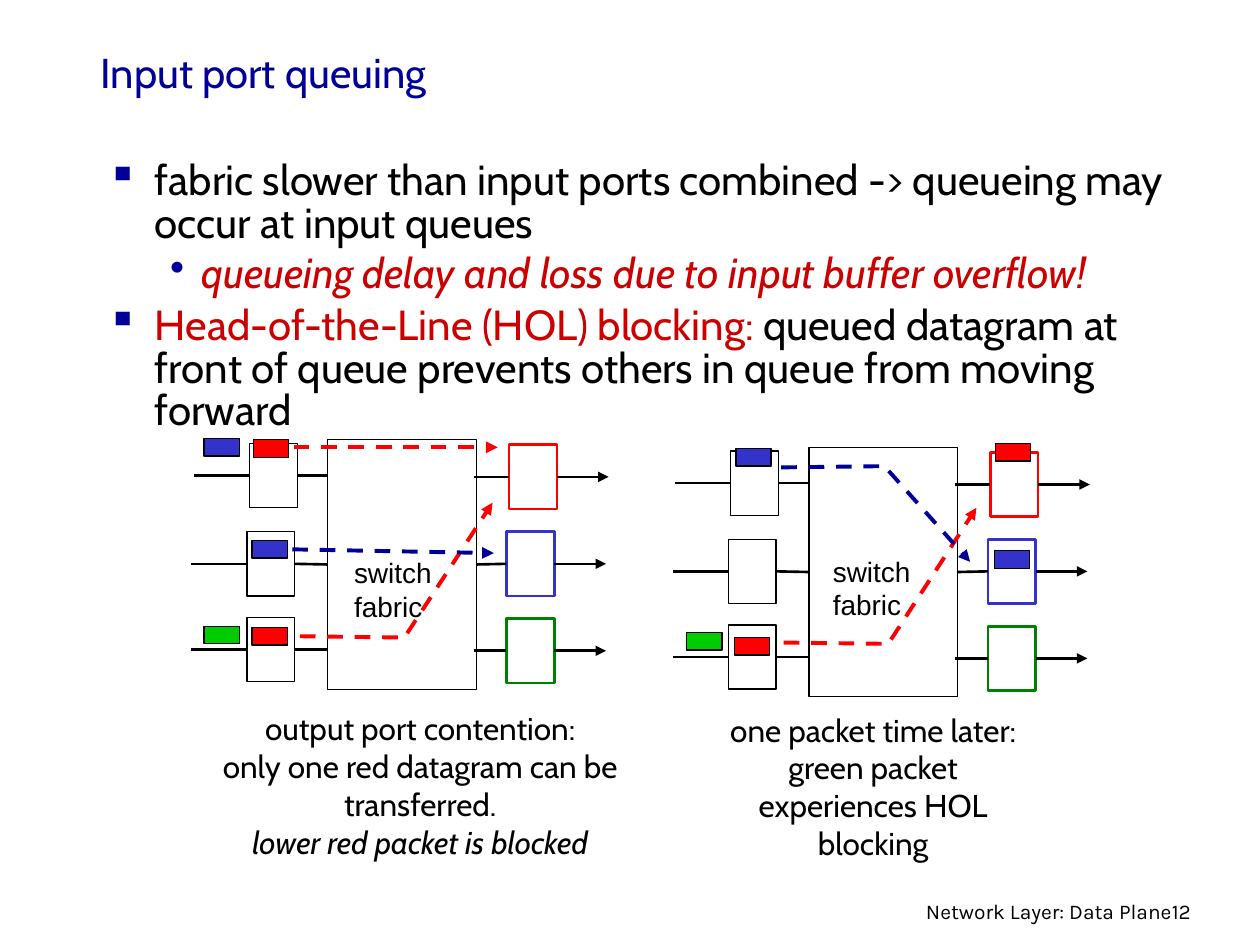
"""Build the slide on input port queuing and head-of-line blocking."""
from lxml.etree import SubElement
from pptx import Presentation
from pptx.dml.color import RGBColor
from pptx.enum.dml import MSO_LINE
from pptx.enum.shapes import MSO_CONNECTOR, MSO_SHAPE
from pptx.enum.text import MSO_ANCHOR, PP_ALIGN
from pptx.oxml.ns import qn
from pptx.util import Pt

PX = 9144
BLACK, WHITE, NAVY, CRIMSON = "000000", "FFFFFF", "000099", "CC0000"
RED, BLUE, GREEN, LIME = "FF0000", "3333CC", "008000", "00CC00"
color = RGBColor.from_string


def write(shapes, spot, paras, size, face="Cabin", align=PP_ALIGN.LEFT):
    box = shapes.add_textbox(*[n * PX for n in spot])
    frame = box.text_frame
    frame.word_wrap = True
    frame.margin_left = frame.margin_right = 5 * PX
    frame.margin_top = frame.margin_bottom = 5 * PX
    for num, runs in enumerate(paras):
        para = frame.add_paragraph() if num else frame.paragraphs[0]
        para.alignment = align
        for words, tint, slant in runs:
            if words == "\n":
                para.add_line_break()
                continue
            run = para.add_run()
            run.text = words
            run.font.name, run.font.size = face, Pt(size)
            run.font.italic = slant
            run.font.color.rgb = color(tint)
    return frame


def draw(shapes, points, tint=BLACK, width=1.5, dash=False, arrow=False):
    spots = [(round(x * PX), round(y * PX)) for x, y in points]
    if len(spots) == 2:
        item = shapes.add_connector(MSO_CONNECTOR.STRAIGHT, *spots[0], *spots[1])
        SubElement(item._element.spPr, qn("a:effectLst"))
    else:
        pen = shapes.build_freeform(*spots[0])
        pen.add_line_segments(spots[1:], close=False)
        item = pen.convert_to_shape()
        item.fill.background()
        item.shadow.inherit = False
    item.line.color.rgb = color(tint)
    item.line.width = Pt(width)
    if dash:
        item.line.dash_style = MSO_LINE.DASH
    if arrow:
        SubElement(item.get_or_add_ln(), qn("a:tailEnd"), type="triangle")
    return item


deck = Presentation()
deck.slide_width, deck.slide_height = 1000 * PX, 750 * PX
slide = deck.slides.add_slide(deck.slide_layouts[6])

title = write(slide.shapes, (75, 32, 850, 50), [[("Input port queuing", NAVY, False)]], 23.8)
title.vertical_anchor = MSO_ANCHOR.MIDDLE

body = write(slide.shapes, (80, 123, 886, 290), [
    [("fabric slower than input ports combined -> queueing may occur at input queues", BLACK, False)],
    [("queueing delay and loss due to input buffer overflow!", CRIMSON, True)],
    [("Head-of-the-Line (HOL) blocking:", CRIMSON, False),
     (" queued datagram at front of queue prevents others in queue from moving forward", BLACK, False)],
], 24)
for num, para in enumerate(body.paragraphs):
    sub = num == 1
    para.level = int(sub)
    props = para._p.get_or_add_pPr()
    props.set("marL", str((75 if sub else 38) * PX))
    props.set("indent", str((-25 if sub else -38) * PX))
    tone = SubElement(props, qn("a:buClr"))
    SubElement(tone, qn("a:srgbClr"), val=NAVY)
    SubElement(props, qn("a:buChar"), char="•" if sub else "▪")
    if not sub:
        para.line_spacing = 0.85
        para.space_before = Pt(5 if num else 0)

rows = [(352, 353, 0, RED), (422, 422, 2, BLUE), (490, 491, 2, GREEN)]
panels = [
    dict(
        shift=(0, 0),
        chips=[(201, 349, RED), (200, 429, BLUE), (200, 498, RED), (162, 348, BLUE), (162, 497, LIME)],
        flows=[([(233, 355), (395, 355)], RED), ([(238, 505), (321, 506), (391, 399)], RED),
               ([(232, 436), (392, 439)], NAVY)],
        label=(276, 436, 79, 59),
        spot=(148, 558, 371, 132),
        note=[[("output port contention:", BLACK, False)],
              [("only one red datagram can be transferred.", BLACK, False), ("\n", BLACK, False),
               ("lower red packet is blocked", BLACK, True)]],
    ),
    dict(
        shift=(382, 6),
        chips=[(790, 352, RED), (584, 356, BLUE), (583, 506, RED), (545, 502, LIME), (789, 437, BLUE)],
        flows=[([(622, 510), (705, 511), (775, 403)], RED), ([(620, 371), (702, 370), (770, 446)], NAVY)],
        label=(656, 435, 79, 59),
        spot=(571, 559, 244, 132),
        note=[[("one packet time later: green packet experiences HOL blocking", BLACK, False)]],
    ),
]

for panel in panels:
    dx, dy = panel["shift"]
    shapes = slide.shapes.add_group_shape().shapes
    boxes = [(260 + dx, 349 + dy, 118, 198, WHITE, BLACK, 0.75)]
    for top, out, inset, tint in rows:
        boxes.append((198 - inset + dx, top + dy, 38, 51, WHITE, BLACK, 0.75))
        boxes.append((404 - inset + dx, out + dy, 38, 51, WHITE, tint, 1.5))
    boxes += [(x, y, 28, 14, tint, BLACK, 0.75) for x, y, tint in panel["chips"]]

    rects = []
    for *spot, fill, edge, width in boxes:
        rect = shapes.add_shape(MSO_SHAPE.RECTANGLE, *[n * PX for n in spot])
        rect.shadow.inherit = False
        rect.fill.solid()
        rect.fill.fore_color.rgb = color(fill)
        rect.line.color.rgb = color(edge)
        rect.line.width = Pt(width)
        rects.append(rect)

    fabric = rects[0]
    for num, (top, out, inset, tint) in enumerate(rows):
        entry, leave = rects[1 + 2 * num], rects[2 + 2 * num]
        left, right = top + dy + 51 / 2, out + dy + 51 / 2
        feed = draw(shapes, [(154 - inset + dx, left), (198 - inset + dx, left)])
        feed.end_connect(entry, 1)
        inner = draw(shapes, [(236 - inset + dx, left), (260 + dx, left)])
        inner.begin_connect(entry, 3)
        outer = draw(shapes, [(376 + dx, right), (404 - inset + dx, right)])
        outer.end_connect(leave, 1)
        if num == 1:
            inner.end_connect(fabric, 1)
            outer.begin_connect(fabric, 3)
        away = draw(shapes, [(442 - inset + dx, right), (483 - inset + dx, right)], arrow=True)
        away.begin_connect(leave, 3)

    for points, tint in panel["flows"]:
        draw(shapes, points, tint, 2.25, dash=True, arrow=True)
    write(shapes, panel["label"], [[("switch", BLACK, False)], [("fabric", BLACK, False)]], 16, "Arial")
    write(shapes, panel["spot"], panel["note"], 18, align=PP_ALIGN.CENTER)

page = write(slide.shapes, (925, 708, 30, 29), [[("12", BLACK, False)]], 12, "Karla")
page.word_wrap = False
write(slide.shapes, (697, 708, 238, 29), [[("Network Layer: Data Plane", BLACK, False)]],
      12, "Karla", PP_ALIGN.RIGHT)

deck.save("out.pptx")
